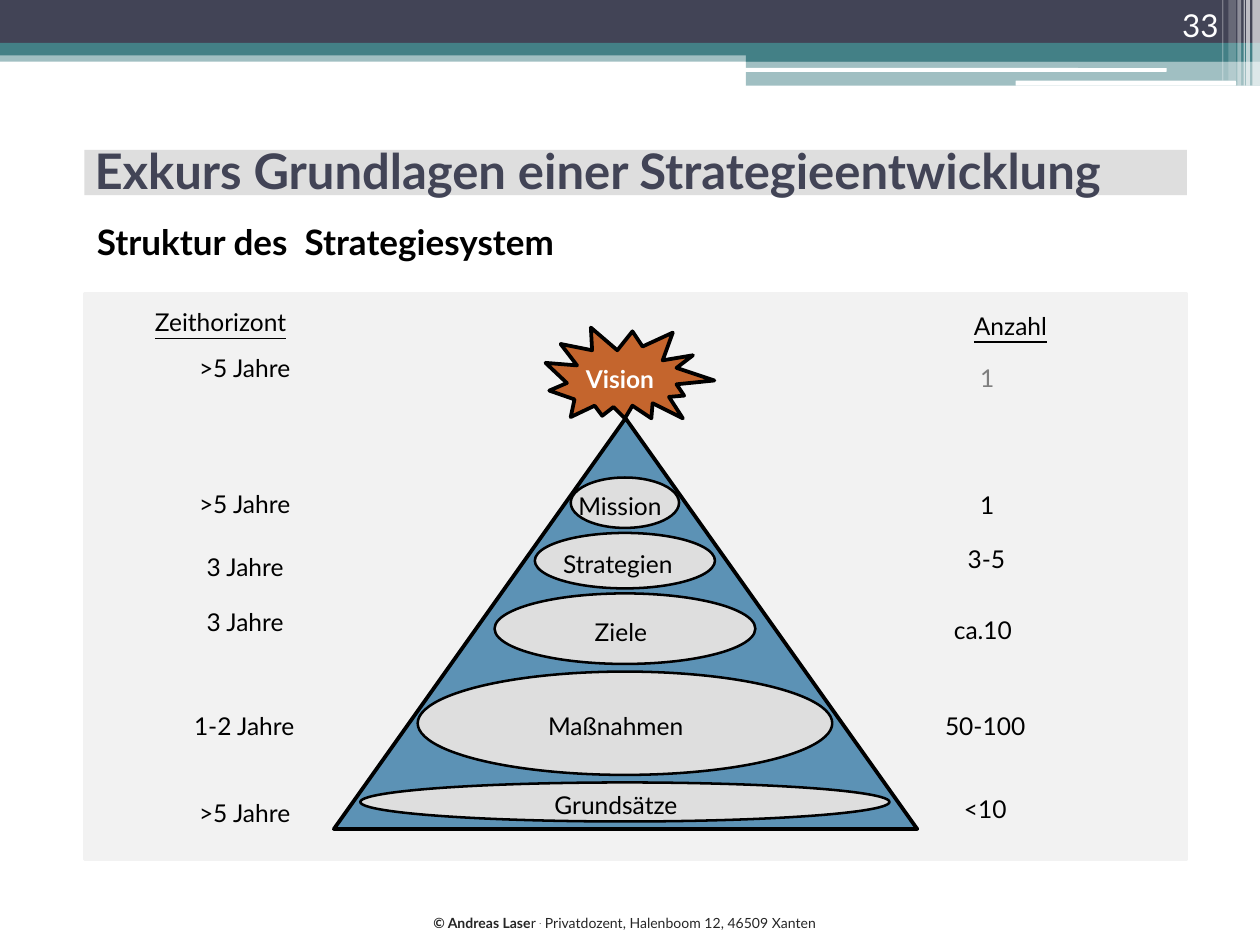
from dataclasses import dataclass

from lxml import etree
from pptx import Presentation
from pptx import util as u
from pptx.dml.color import RGBColor
from pptx.enum import shapes, text
from pptx.oxml.ns import qn


@dataclass(frozen=True)
class Theme:
    font: str = "Lato"
    navy: str = "424456"
    teal: str = "438086"
    white: str = "FFFFFF"
    black: str = "000000"
    footer: str = "262626"
    muted: str = "7F7F7F"
    panel: str = "F2F2F2"
    grey: str = "DEDEDE"
    orange: str = "C4652D"
    blue: str = "5C92B5"
    title_size: float = 28
    subtitle_size: float = 20
    number_size: float = 18
    label_size: float = 14
    footer_size: float = 8


T = Theme()
KIND = shapes.MSO_SHAPE
ALIGN = text.PP_ALIGN
ANCHOR = text.MSO_ANCHOR

HEADER = [
    (KIND.RECTANGLE, 0, 0.4, 10, 0.09, T.teal, 50),
    (KIND.RECTANGLE, 0, 0, 10, 0.34, T.navy, 100),
    (KIND.RECTANGLE, 0, 0.34, 10, 0.1, T.teal, 100),
    (KIND.RECTANGLE, 5.92, 0.39, 4.08, 0.1, T.teal, 100),
    (KIND.RECTANGLE, 5.92, 0.48, 4.08, 0.2, T.teal, 50),
    (KIND.ROUNDED_RECTANGLE, 5.91, 0.54, 3.35, 0.03, T.white, 100),
    (KIND.ROUNDED_RECTANGLE, 8.06, 0.64, 1.75, 0.04, T.white, 100),
]
STRIPES = [
    (9.94, 0.06, 0.68, 65),
    (9.89, 0.03, 0.68, 65),
    (9.87, 0.01, 0.68, 60),
    (9.82, 0.03, 0.68, 40),
    (9.75, 0.06, 0.64, 20),
    (9.7, 0.01, 0.64, 30),
]
BURST = [
    (5.1, 2.75), (5.02, 2.63), (4.9, 2.78), (4.69, 2.6), (4.7, 2.78), (4.45, 2.73),
    (4.58, 2.9), (4.33, 2.88), (4.5, 3.04), (4.36, 3.1), (4.56, 3.17), (4.53, 3.31),
    (4.72, 3.22), (4.78, 3.3), (4.87, 3.23), (4.96, 3.32), (5.02, 3.22), (5.17, 3.32),
    (5.18, 3.2), (5.42, 3.32), (5.31, 3.15), (5.43, 3.14), (5.37, 3.05), (5.67, 3.02),
    (5.37, 2.92), (5.5, 2.82), (5.26, 2.86), (5.34, 2.64),
]
CENTRE = 4.96
LEVELS = [
    ("Mission", 3.79, 0.86, 0.4, 4.59, 3.9, 0.75),
    ("Strategien", 4.23, 1.43, 0.44, 4.47, 4.36, 1),
    ("Ziele", 4.71, 2.07, 0.56, 4.72, 4.9, 0.49),
    ("Maßnahmen", 5.33, 3.29, 0.82, 4.35, 5.64, 1.23),
    ("Grundsätze", 6.21, 4.2, 0.31, 4.4, 6.27, 1.13),
]
HORIZONS = [
    (">5 Jahre", 1.58, 2.8, 0.87),
    (">5 Jahre", 1.58, 3.88, 0.87),
    ("3 Jahre", 1.64, 4.38, 0.74),
    ("3 Jahre", 1.64, 4.82, 0.74),
    ("1-2 Jahre", 1.54, 5.64, 0.93),
    (">5 Jahre", 1.58, 6.33, 0.87),
]
COUNTS = [
    ("1", 7.78, 3.89, 0.14),
    ("3-5", 7.68, 4.32, 0.33),
    ("ca.10", 7.57, 4.88, 0.55),
    ("50-100", 7.5, 5.64, 0.69),
    ("<10", 7.65, 6.3, 0.39),
]


def paint(sp, fill, line=None, width=0, alpha=100):
    sp.shadow.inherit = False
    sp.fill.solid()
    sp.fill.fore_color.rgb = RGBColor.from_string(fill)
    if alpha < 100:
        colour = sp._element.spPr.find(qn("a:solidFill"))[0]
        etree.SubElement(colour, qn("a:alpha")).set("val", str(alpha * 1000))
    if line:
        sp.line.color.rgb = RGBColor.from_string(line)
        sp.line.width = u.Pt(width)
    else:
        sp.line.fill.background()
    return sp


def add_block(s, kind, x, y, w, h, fill, **style):
    sp = s.shapes.add_shape(kind, u.Inches(x), u.Inches(y), u.Inches(w), u.Inches(h))
    return paint(sp, fill, **style)


def add_burst(s):
    start, *rest = [(u.Inches(x), u.Inches(y)) for x, y in BURST]
    builder = s.shapes.build_freeform(*start)
    builder.add_line_segments(rest, close=True)
    paint(builder.convert_to_shape(), T.orange, line=T.black, width=2.16)


def add_run(p, words, size=T.label_size, color=T.black, bold=False, underline=False, raised=0):
    r = p.add_run()
    r.text = words
    r.font.name = T.font
    r.font.size = u.Pt(size)
    r.font.color.rgb = RGBColor.from_string(color)
    r.font.bold = bold
    r.font.underline = underline
    if raised:
        r._r.get_or_add_rPr().set("baseline", str(raised * 1000))


def write(tf, words, align=ALIGN.LEFT, anchor=ANCHOR.TOP, wrap=False, **style):
    tf.word_wrap = wrap
    tf.vertical_anchor = anchor
    p = tf.paragraphs[0]
    p.alignment = align
    add_run(p, words, **style)
    return p


def add_text(s, words, x, y, w, h, inset=True, **style):
    tf = s.shapes.add_textbox(u.Inches(x), u.Inches(y), u.Inches(w), u.Inches(h)).text_frame
    if not inset:
        tf.margin_left = tf.margin_right = tf.margin_top = tf.margin_bottom = 0
    return write(tf, words, **style)


def add_label(s, words, x, y, w, **style):
    add_text(s, words, x, y, w, 0.24, inset=False, **style)


def add_header(s):
    for kind, x, y, w, h, fill, alpha in HEADER:
        add_block(s, kind, x, y, w, h, fill, alpha=alpha)
    for x, w, h, alpha in STRIPES:
        add_block(s, KIND.RECTANGLE, x, 0, w, h, T.white, alpha=alpha)
    add_text(s, "33", 8.94, 0, 0.83, 0.4, align=ALIGN.RIGHT, anchor=ANCHOR.BOTTOM,
             wrap=True, size=T.number_size, color=T.white)


def add_footer(s):
    style = dict(size=T.footer_size, color=T.footer)
    p = add_text(s, "© Andreas Lase", 3.34, 7.21, 3.35, 0.24, bold=True, **style)
    add_run(p, "r ", **style)
    add_run(p, ".", raised=30, **style)
    add_run(p, " Privatdozent, Halenboom 12, 46509 Xanten", **style)


def add_title(s):
    add_block(s, KIND.RECTANGLE, 0.67, 1.19, 8.75, 0.36, T.grey)
    title = s.shapes.title
    title.left, title.top = u.Inches(0.65), u.Inches(0.76)
    title.width, title.height = u.Inches(9), u.Inches(1.17)
    write(title.text_frame, "Exkurs Grundlagen einer Strategieentwicklung",
          anchor=ANCHOR.MIDDLE, wrap=True, size=T.title_size, color=T.navy, bold=True)
    s.shapes._spTree.append(title._element)
    add_text(s, "Struktur des  Strategiesystem", 0.67, 1.7, 4.15, 0.44,
             size=T.subtitle_size, bold=True)


def add_pyramid(s):
    add_burst(s)
    add_block(s, KIND.ISOSCELES_TRIANGLE, 2.65, 3.32, 4.63, 3.26, T.blue,
              line=T.black, width=2.16)
    for words, y, w, h, label_x, label_y, label_w in LEVELS:
        add_block(s, KIND.OVAL, CENTRE - w / 2, y, w, h, T.grey, line=T.black, width=1.44)
        add_label(s, words, label_x, label_y, label_w)
    add_label(s, "Vision", 4.65, 2.89, 0.61, color=T.white, bold=True)


def add_columns(s):
    add_label(s, "Zeithorizont", 1.23, 2.44, 1.1, underline=True)
    add_label(s, "Anzahl", 7.73, 2.47, 0.6, underline=True)
    add_label(s, "1", 7.78, 2.88, 0.14, color=T.muted)
    for words, x, y, w in HORIZONS + COUNTS:
        add_label(s, words, x, y, w)


def main():
    prs = Presentation()
    prs.slide_width, prs.slide_height = u.Inches(10), u.Inches(7.5)
    s = prs.slides.add_slide(prs.slide_layouts[5])
    add_header(s)
    add_footer(s)
    add_block(s, KIND.RECTANGLE, 0.67, 2.33, 8.75, 4.49, T.panel, line=T.panel, width=1.5)
    add_title(s)
    add_pyramid(s)
    add_columns(s)
    prs.save("out.pptx")


if __name__ == "__main__":
    main()
